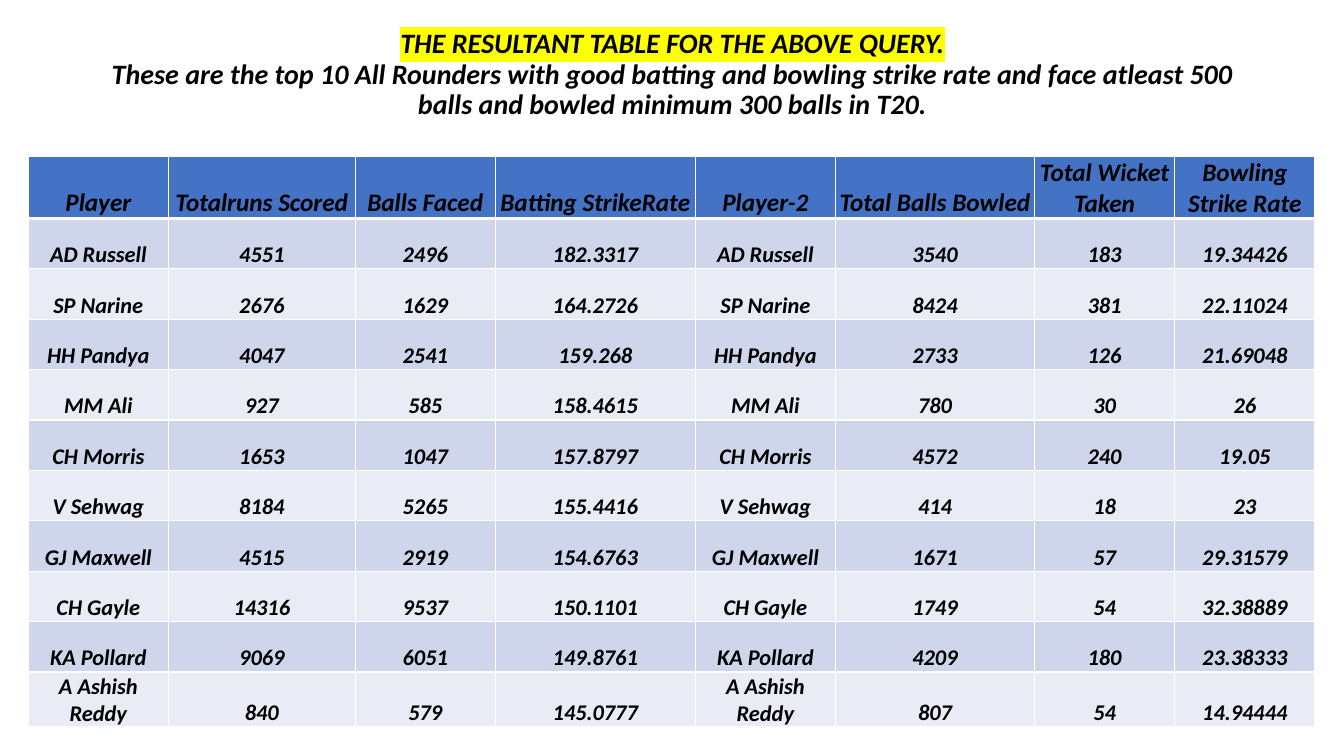
"""Build a slide with a title and a table of the top ten all rounders."""
from dataclasses import dataclass
from typing import NamedTuple, Optional

from lxml.etree import SubElement as Sub
from pptx import Presentation
from pptx.dml.color import RGBColor as Rgb
from pptx.enum.text import MSO_ANCHOR as Anchor, PP_ALIGN as Align
from pptx.oxml.ns import qn
from pptx.util import Inches, Pt


@dataclass(frozen=True)
class Theme:
    font: str = "Calibri"
    ink: str = "000000"
    mark: str = "FFFF00"
    head: str = "4472C4"
    bands: tuple = ("CFD5EA", "E9EBF5")
    rule: str = "FFFFFF"
    thin: float = 1
    thick: float = 3
    title: float = 20
    label: float = 18
    body: float = 16


class Box(NamedTuple):
    """Hold a place in percent of the slide's size."""
    left: float
    top: float
    width: float
    height: float


class Player(NamedTuple):
    name: str
    runs: str
    faced: str
    bat: str
    bowled: str
    wickets: str
    bowl: str

    def row(self) -> tuple:
        return (*self[:4], self.name, *self[4:])


THEME = Theme()
WIDTH, HEIGHT = Inches(13.33), Inches(7.5)
TITLE = Box(6.9, 2.53, 86.27, 14.8)
COLS = (10.44, 13.89, 10.44, 14.87, 10.44, 14.8, 10.44, 10.44)
TOP_ROW, ROW = 7.87, 6.67
HEADS = ("Player", "Totalruns Scored", "Balls Faced", "Batting StrikeRate",
         "Player-2", "Total Balls Bowled", "Total Wicket Taken",
         "Bowling Strike Rate")
PLAYERS = (
    Player("AD Russell", "4551", "2496", "182.3317", "3540", "183", "19.34426"),
    Player("SP Narine", "2676", "1629", "164.2726", "8424", "381", "22.11024"),
    Player("HH Pandya", "4047", "2541", "159.268", "2733", "126", "21.69048"),
    Player("MM Ali", "927", "585", "158.4615", "780", "30", "26"),
    Player("CH Morris", "1653", "1047", "157.8797", "4572", "240", "19.05"),
    Player("V Sehwag", "8184", "5265", "155.4416", "414", "18", "23"),
    Player("GJ Maxwell", "4515", "2919", "154.6763", "1671", "57", "29.31579"),
    Player("CH Gayle", "14316", "9537", "150.1101", "1749", "54", "32.38889"),
    Player("KA Pollard", "9069", "6051", "149.8761", "4209", "180", "23.38333"),
    Player("A Ashish Reddy", "840", "579", "145.0777", "807", "54", "14.94444"),
)
GRID = Box(2.1, 20.75, sum(COLS), TOP_ROW + ROW * len(PLAYERS))


def across(share: float) -> int:
    return round(WIDTH * share / 100)


def down(share: float) -> int:
    return round(HEIGHT * share / 100)


def place(box: Box) -> tuple:
    return across(box.left), down(box.top), across(box.width), down(box.height)


def write(para, text: str, *, size: float, mark: Optional[str] = None) -> None:
    para.alignment = Align.CENTER
    run = para.add_run()
    run.text = text
    font = run.font
    font.size, font.bold, font.italic = Pt(size), True, True
    font.color.rgb = Rgb.from_string(THEME.ink)
    if mark:
        light = Sub(run._r.get_or_add_rPr(), qn("a:highlight"))
        Sub(light, qn("a:srgbClr"), val=mark)
    font.name = THEME.font


def edge(cell, row: int) -> None:
    props = cell._tc.get_or_add_tcPr()
    heavy = {0: "B", 1: "T"}.get(row)
    for side in "LRTB":
        width = THEME.thick if side == heavy else THEME.thin
        line = Sub(props, qn(f"a:ln{side}"), w=str(Pt(width)))
        Sub(Sub(line, qn("a:solidFill")), qn("a:srgbClr"), val=THEME.rule)


def draw_title(slide) -> None:
    frame = slide.shapes.add_textbox(*place(TITLE)).text_frame
    frame.word_wrap = True
    frame.vertical_anchor = Anchor.MIDDLE
    para = frame.paragraphs[0]
    para.line_spacing = 0.9
    write(para, "THE RESULTANT TABLE FOR THE ABOVE QUERY.",
          size=THEME.title, mark=THEME.mark)
    para.add_line_break()
    write(para, "These are the top 10 All Rounders with good batting and "
          "bowling strike rate and face atleast 500 balls and bowled "
          "minimum 300 balls in T20.", size=THEME.title)


def draw_cell(cell, text: str, row: int) -> None:
    edge(cell, row)
    cell.fill.solid()
    shade = THEME.bands[(row - 1) % 2] if row else THEME.head
    cell.fill.fore_color.rgb = Rgb.from_string(shade)
    cell.vertical_anchor = Anchor.BOTTOM
    cell.margin_left = cell.margin_right = cell.margin_top = Inches(0.01)
    cell.margin_bottom = 0
    write(cell.text_frame.paragraphs[0], text,
          size=THEME.body if row else THEME.label)


def draw_table(slide) -> None:
    rows = (HEADS, *(player.row() for player in PLAYERS))
    table = slide.shapes.add_table(len(rows), len(COLS), *place(GRID)).table
    for col, share in zip(table.columns, COLS):
        col.width = across(share)
    for i, texts in enumerate(rows):
        table.rows[i].height = down(ROW if i else TOP_ROW)
        for j, text in enumerate(texts):
            draw_cell(table.cell(i, j), text, i)


def main() -> None:
    deck = Presentation()
    deck.slide_width, deck.slide_height = WIDTH, HEIGHT
    slide = deck.slides.add_slide(deck.slide_layouts[6])
    draw_title(slide)
    draw_table(slide)
    deck.save("out.pptx")


if __name__ == "__main__":
    main()
